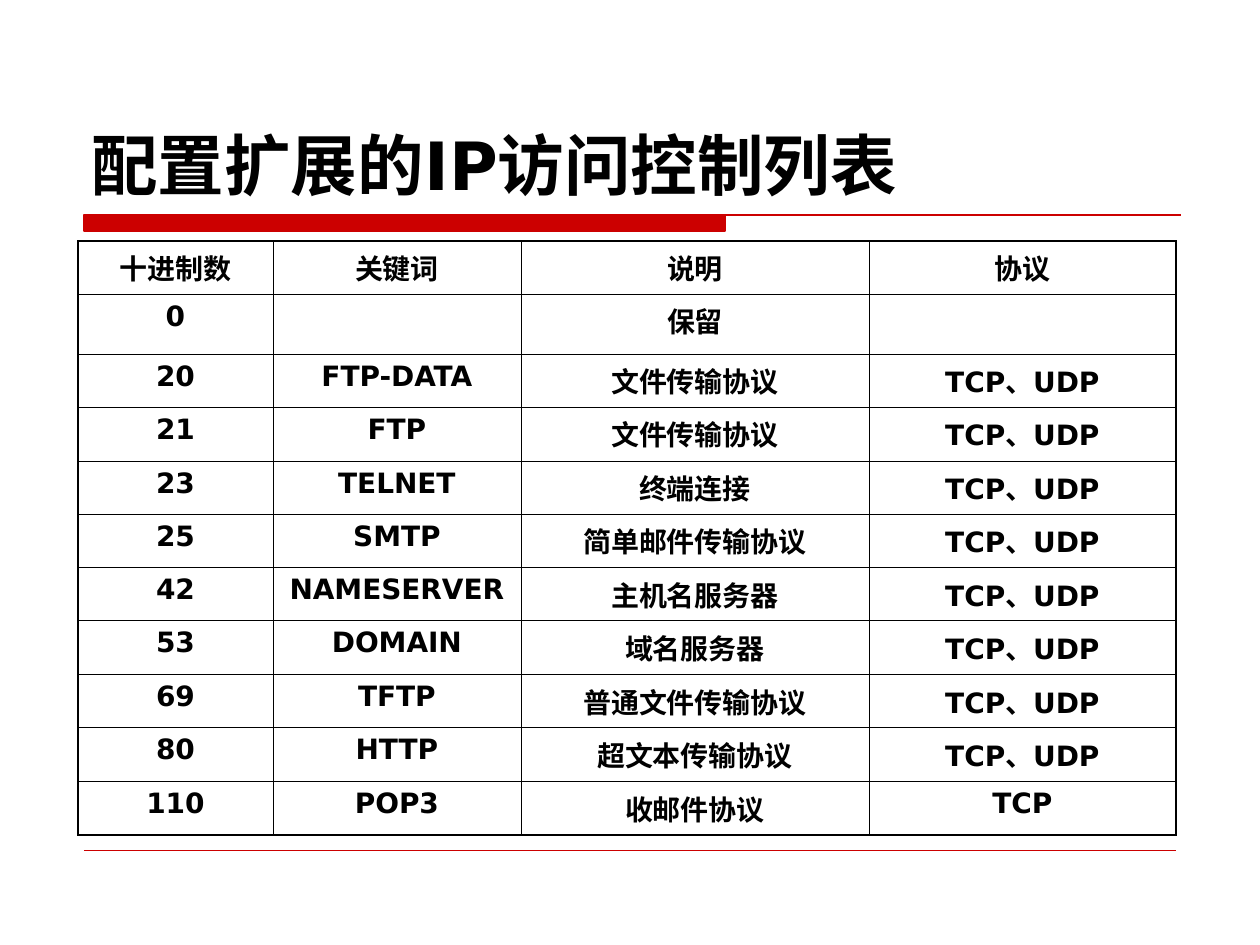
from lxml.etree import SubElement
from pptx import Presentation
from pptx.dml.color import RGBColor
from pptx.enum.shapes import MSO_CONNECTOR
from pptx.enum.text import MSO_ANCHOR, PP_ALIGN
from pptx.oxml.ns import qn
from pptx.util import Pt

SCALE = 914400 / 126
FONT = "DejaVu Sans"
COLORS = {"accent": "CC0000", "ink": "000000"}
INNER, OUTER = 0.45, 1.08
COLUMN_WIDTHS = [195, 248, 348, 307]
BOTH = "TCP、UDP"
PROTOCOLS = [
    ("十进制数", "关键词", "说明", "协议"),
    ("0", "", "保留", ""),
    ("20", "FTP-DATA", "文件传输协议", BOTH),
    ("21", "FTP", "文件传输协议", BOTH),
    ("23", "TELNET", "终端连接", BOTH),
    ("25", "SMTP", "简单邮件传输协议", BOTH),
    ("42", "NAMESERVER", "主机名服务器", BOTH),
    ("53", "DOMAIN", "域名服务器", BOTH),
    ("69", "TFTP", "普通文件传输协议", BOTH),
    ("80", "HTTP", "超文本传输协议", BOTH),
    ("110", "POP3", "收邮件协议", "TCP"),
]


def px(length):
    return round(length * SCALE)


def color(name):
    return RGBColor.from_string(COLORS[name])


def add_bold_run(paragraph, text, size):
    run = paragraph.add_run()
    run.text = text
    run.font.name = FONT
    run.font.size = Pt(size)
    run.font.bold = True
    run.font.color.rgb = color("ink")


def add_title(slide, text):
    title = slide.shapes.add_textbox(px(79), px(42), px(1103), px(168))
    frame = title.text_frame
    frame.word_wrap = True
    frame.vertical_anchor = MSO_ANCHOR.BOTTOM
    add_bold_run(frame.paragraphs[0], text, 38)


def add_title_rule(slide):
    left, top, band_right, bottom, right = 84, 215, 725, 231, 1181
    outline = slide.shapes.build_freeform(left, top, SCALE)
    outline.add_line_segments([(band_right, top), (band_right, bottom), (left, bottom)])
    outline.move_to(left, top)
    outline.add_line_segments([(right, top)], close=False)
    rule = outline.convert_to_shape()
    rule.shadow.inherit = False
    rule.fill.solid()
    rule.fill.fore_color.rgb = color("accent")
    rule.line.color.rgb = color("accent")
    rule.line.width = Pt(0.75)


def add_footer_rule(slide):
    rule = slide.shapes.add_connector(
        MSO_CONNECTOR.STRAIGHT, px(84), px(850), px(1176), px(850)
    )
    rule.line.color.rgb = color("accent")
    rule.line.width = Pt(0.25)
    SubElement(rule._element.spPr, qn("a:effectLst"))


def set_borders(cell, outer_sides):
    properties = cell._tc.get_or_add_tcPr()
    for side in "LRTB":
        width = OUTER if side in outer_sides else INNER
        border = SubElement(properties, qn(f"a:ln{side}"), w=str(Pt(width)))
        fill = SubElement(border, qn("a:solidFill"))
        SubElement(fill, qn("a:srgbClr"), val=COLORS["ink"])


def row_height(index):
    if index == 1:
        return 60
    return 54 if index > 1 and index % 2 else 53


def add_protocol_table(slide):
    last_row, last_column = len(PROTOCOLS) - 1, len(COLUMN_WIDTHS) - 1
    heights = [row_height(index) for index in range(len(PROTOCOLS))]
    table = slide.shapes.add_table(
        len(PROTOCOLS), len(COLUMN_WIDTHS),
        px(78), px(241), px(sum(COLUMN_WIDTHS)), px(sum(heights)),
    ).table
    table.first_row = False
    table.horz_banding = False
    for column, width in zip(table.columns, COLUMN_WIDTHS):
        column.width = px(width)
    for r, (protocol, height) in enumerate(zip(PROTOCOLS, heights)):
        table.rows[r].height = px(height)
        for c, text in enumerate(protocol):
            cell = table.cell(r, c)
            edges = {"L": c == 0, "R": c == last_column, "T": r == 0, "B": r == last_row}
            set_borders(cell, [side for side, outer in edges.items() if outer])
            cell.fill.background()
            if text:
                paragraph = cell.text_frame.paragraphs[0]
                paragraph.alignment = PP_ALIGN.CENTER
                add_bold_run(paragraph, text, 16)


def main():
    presentation = Presentation()
    presentation.slide_width = px(1260)
    presentation.slide_height = px(945)
    slide = presentation.slides.add_slide(presentation.slide_layouts[6])
    add_title_rule(slide)
    add_footer_rule(slide)
    add_title(slide, "配置扩展的IP访问控制列表")
    add_protocol_table(slide)
    presentation.save("out.pptx")


if __name__ == "__main__":
    main()
